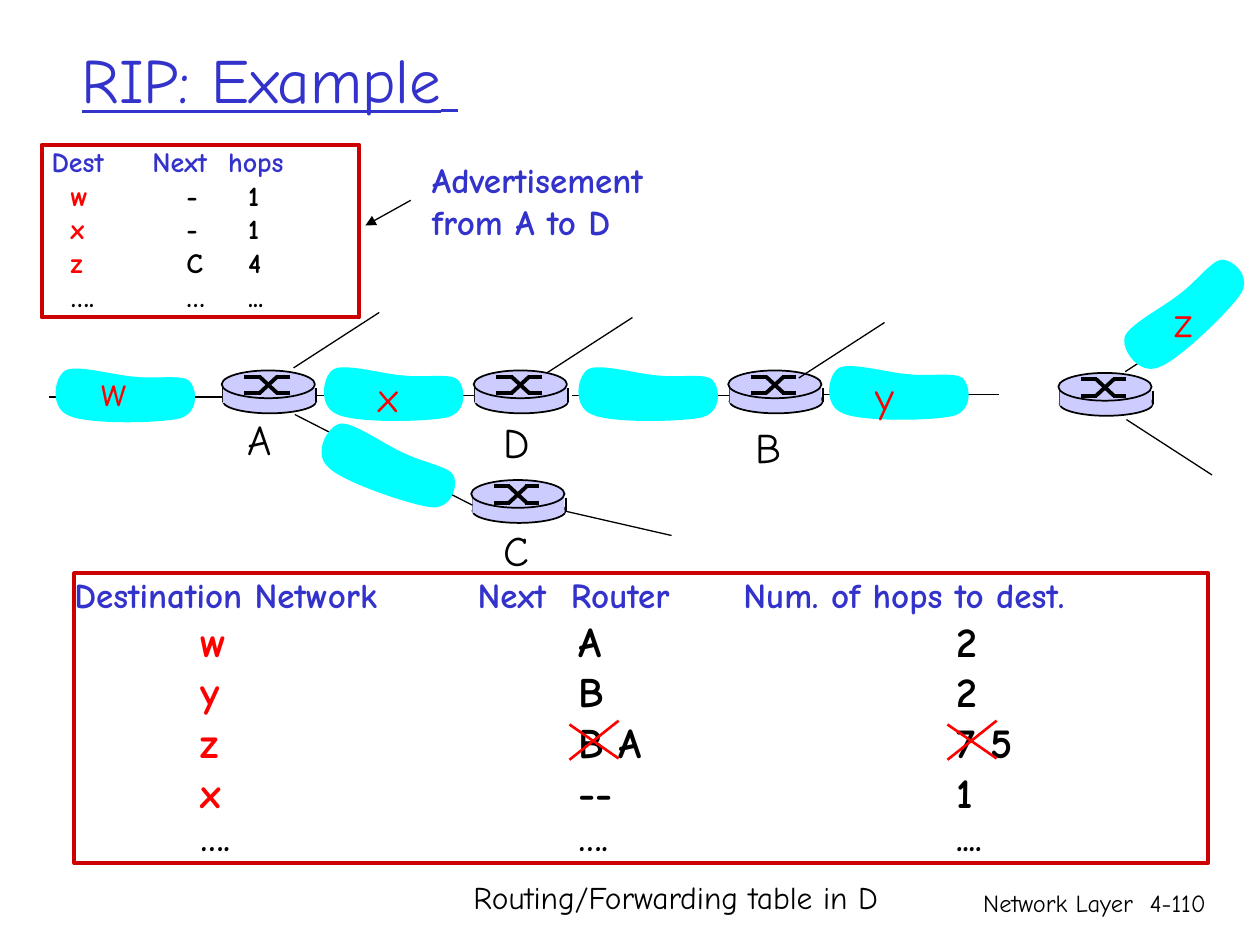
"""Build the RIP example slide: a router network with two routing tables."""
from lxml import etree
from pptx import Presentation
from pptx import util as u
from pptx.dml.color import RGBColor
from pptx.enum import shapes, text
from pptx.oxml.ns import qn

BLACK = RGBColor(0, 0, 0)
BLUE = RGBColor(0x33, 0x33, 0xCC)
RED = RGBColor(0xFF, 0, 0)
CRIMSON = RGBColor(0xCC, 0, 0)
CYAN = RGBColor(0, 0xFF, 0xFF)
LILAC = RGBColor(0xCC, 0xCC, 0xFF)

CLOUD = [(68, 10),
         (52, 9), (22, 0), (13, 5),
         (4, 10), (0, 35), (16, 41),
         (31, 48), (88, 47), (104, 43),
         (120, 38), (117, 18), (111, 13),
         (105, 8), (84, 12), (68, 10)]
SWITCH = [(0.18, 0.05, 0.31, 0.05), (0.3, 0.05, 0.44, 0.18), (0.43, 0.18, 0.54, 0.18),
          (0.18, 0.18, 0.31, 0.18), (0.3, 0.18, 0.44, 0.05), (0.43, 0.05, 0.54, 0.05)]


class Deck:
    """Hold the font and the current slide, and draw each kind of element."""

    def __init__(self, slide, font):
        self.items = slide.shapes
        self.font = font

    def style(self, run, size, color, bold=False, under=False):
        run.font.name = self.font
        run.font.size = u.Pt(size)
        run.font.color.rgb = color
        run.font.bold = bold
        run.font.underline = under

    def label(self, words, at, size=24, color=BLACK, bold=False, under=False,
              wrap=False, align=text.PP_ALIGN.LEFT, anchor=text.MSO_ANCHOR.TOP):
        frame = self.items.add_textbox(*map(u.Inches, at)).text_frame
        frame.text = words
        frame.word_wrap = wrap
        frame.vertical_anchor = anchor
        if not wrap:
            frame.auto_size = text.MSO_AUTO_SIZE.SHAPE_TO_FIT_TEXT
        for para in frame.paragraphs:
            para.alignment = align
            for run in para.runs:
                self.style(run, size, color, bold, under)
        return frame

    def line(self, x1, y1, x2, y2, width=0.75, color=BLACK, arrow=False):
        link = self.items.add_connector(
            shapes.MSO_CONNECTOR.STRAIGHT, *map(u.Inches, (x1, y1, x2, y2)))
        link.line.width = u.Pt(width)
        link.line.color.rgb = color
        if arrow:
            etree.SubElement(link.line._get_or_add_ln(), qn("a:tailEnd"), type="triangle")
        etree.SubElement(link._element.spPr, qn("a:effectLst"))

    def shape(self, kind, at, fill=None, edge=None, width=1):
        item = self.items.add_shape(kind, *map(u.Inches, at))
        self.paint(item, fill, edge, width)
        return item

    def paint(self, item, fill, edge=None, width=1):
        item.shadow.inherit = False
        if fill is None:
            item.fill.background()
        else:
            item.fill.solid()
            item.fill.fore_color.rgb = fill
        if edge is None:
            item.line.fill.background()
        else:
            item.line.color.rgb = edge
            item.line.width = u.Pt(width)

    def cloud(self, x, y, turn=0):
        pen = self.items.build_freeform(*CLOUD[0], scale=u.Inches(0.01))
        pen.add_line_segments(CLOUD[1:], close=True)
        item = pen.convert_to_shape(u.Inches(x), u.Inches(y))
        item.rotation = turn
        self.paint(item, CYAN)
        steps = list(item._element.iter(qn("a:lnTo")))
        for i in range(0, len(CLOUD) - 1, 3):
            curve = etree.Element(qn("a:cubicBezTo"))
            steps[i].addprevious(curve)
            for step in steps[i:i + 3]:
                curve.append(step[0])
                step.getparent().remove(step)

    def router(self, x, y):
        oval, rect = shapes.MSO_SHAPE.OVAL, shapes.MSO_SHAPE.RECTANGLE
        self.shape(oval, (x + 0.01, y + 0.15, 0.74, 0.19), LILAC, BLACK)
        for side in (x + 0.01, x + 0.75):
            self.line(side, y + 0.14, side, y + 0.25, 1)
        self.shape(rect, (x + 0.01, y + 0.14, 0.73, 0.12), LILAC)
        self.shape(oval, (x, y, 0.74, 0.22), LILAC, BLACK)
        for x1, y1, x2, y2 in SWITCH:
            self.line(x + x1, y + y1, x + x2, y + y2, 2.25)

    def chart(self, at, rows):
        frame = self.shape(shapes.MSO_SHAPE.RECTANGLE, at, None, CRIMSON, 2.25).text_frame
        frame.margin_left = frame.margin_right = frame.margin_top = frame.margin_bottom = 0
        frame.vertical_anchor = text.MSO_ANCHOR.TOP
        frame.word_wrap = True
        for i, (cells, stops, size, first, rest) in enumerate(rows):
            para = frame.add_paragraph() if i else frame.paragraphs[0]
            para.alignment = text.PP_ALIGN.LEFT
            tabs = etree.SubElement(para._p.get_or_add_pPr(), qn("a:tabLst"))
            for stop in stops:
                if stop:
                    etree.SubElement(tabs, qn("a:tab"), pos=str(u.Inches(stop)), algn="l")
            lead = "\t" if stops[0] else ""
            for words, color in ((lead + cells[0], first),
                                 ("\t" + "\t".join(cells[1:]), rest)):
                run = para.add_run()
                run.text = words
                self.style(run, size, color, True)


def main():
    show = Presentation()
    show.slide_width, show.slide_height = u.Inches(10), u.Inches(7.5)
    deck = Deck(show.slides.add_slide(show.slide_layouts[6]), "Comic Neue")

    right = text.PP_ALIGN.RIGHT
    deck.label("Network Layer", (5.92, 7, 3.17, 0.5), 14, wrap=True, align=right)
    deck.label("4-110", (8.93, 7, 0.74, 0.5), 14, wrap=True, align=right)
    title = deck.label("RIP: Example", (0.55, 0, 8.5, 1.25), 36, BLUE, under=True,
                       wrap=True, anchor=text.MSO_ANCHOR.MIDDLE)
    space = title.paragraphs[0].add_run()
    space.text = " "
    deck.style(space, 28, BLUE, under=True)

    heads, stops = (0, 3.2, 3.94, 5.31), (1, 4, 7)
    rows = [(("Destination Network", "Next", "Router", "Num. of hops to dest."),
             heads, 20, BLUE, BLUE)]
    rows += [(cells, stops, 24, RED, BLACK) for cells in
             (("w", "A", "2"), ("y", "B", "2"), ("z", "B A", "7 5"), ("x", "--", "1"))]
    rows.append((("….", "….", "...."), stops, 20, BLACK, BLACK))
    deck.chart((0.59, 4.55, 9, 2.3), rows)
    deck.label("Routing/Forwarding table in D", (3.66, 6.92, 3.7, 0.4), 18)

    for x, y in ((0.39, 3.15), (2.52, 3.14), (4.54, 3.14), (6.53, 3.13)):
        deck.line(x, y, x + 1.4, y, 1)
    for spot in ((1.76, 2.94), (3.76, 2.94), (3.74, 3.81), (5.78, 2.94), (8.4, 2.96)):
        deck.router(*spot)
    for x, y in ((2.33, 2.92), (4.34, 2.96), (6.34, 3), (8.93, 2.95)):
        deck.line(x, y, x + 0.68, y - 0.44)
    deck.line(8.94, 3.33, 9.62, 3.77)
    deck.line(2.34, 3.29, 3.75, 4.01)
    deck.line(4.5, 4.06, 5.33, 4.25)
    for spot in ((2.52, 2.88), (0.39, 2.89), (4.54, 2.88), (6.53, 2.87),
                 (2.48, 3.46, 19.7), (8.8, 2.25, 316.8)):
        deck.cloud(*spot)

    for name, x, y, width, color in (
            ("w", 0.71, 2.84, 0.43, RED), ("x", 2.91, 2.89, 0.4, RED),
            ("y", 6.85, 2.89, 0.37, RED), ("z", 9.22, 2.3, 0.38, RED),
            ("A", 1.87, 3.23, 0.44, BLACK), ("C", 3.9, 4.11, 0.4, BLACK),
            ("D", 3.9, 3.26, 0.44, BLACK), ("B", 5.9, 3.3, 0.41, BLACK)):
        deck.label(name, (x, y, width, 0.5), color=color)

    heads, stops = (0.08, 0.88, 1.48), (0.23, 1.15, 1.64)
    rows = [(("Dest", "Next", "hops"), heads, 16, BLUE, BLUE)]
    rows += [(cells, stops, 16, RED, BLACK) for cells in
             (("w", "-", "1"), ("x", "-", "1"), ("z", "C", "4"))]
    rows.append((("….", "…", "..."), stops, 16, BLACK, BLACK))
    deck.chart((0.33, 1.15, 2.52, 1.37), rows)
    deck.label("Advertisement\nfrom A to D", (3.33, 1.21, 2.14, 0.77), 20, BLUE, True)
    deck.line(3.26, 1.59, 2.9, 1.79, arrow=True)

    for x in (4.52, 7.52):
        deck.line(x, 5.75, x + 0.39, 6.02, 1.5, RED)
        deck.line(x, 6.03, x + 0.39, 5.72, 1.5, RED)
    show.save("out.pptx")


if __name__ == "__main__":
    main()
